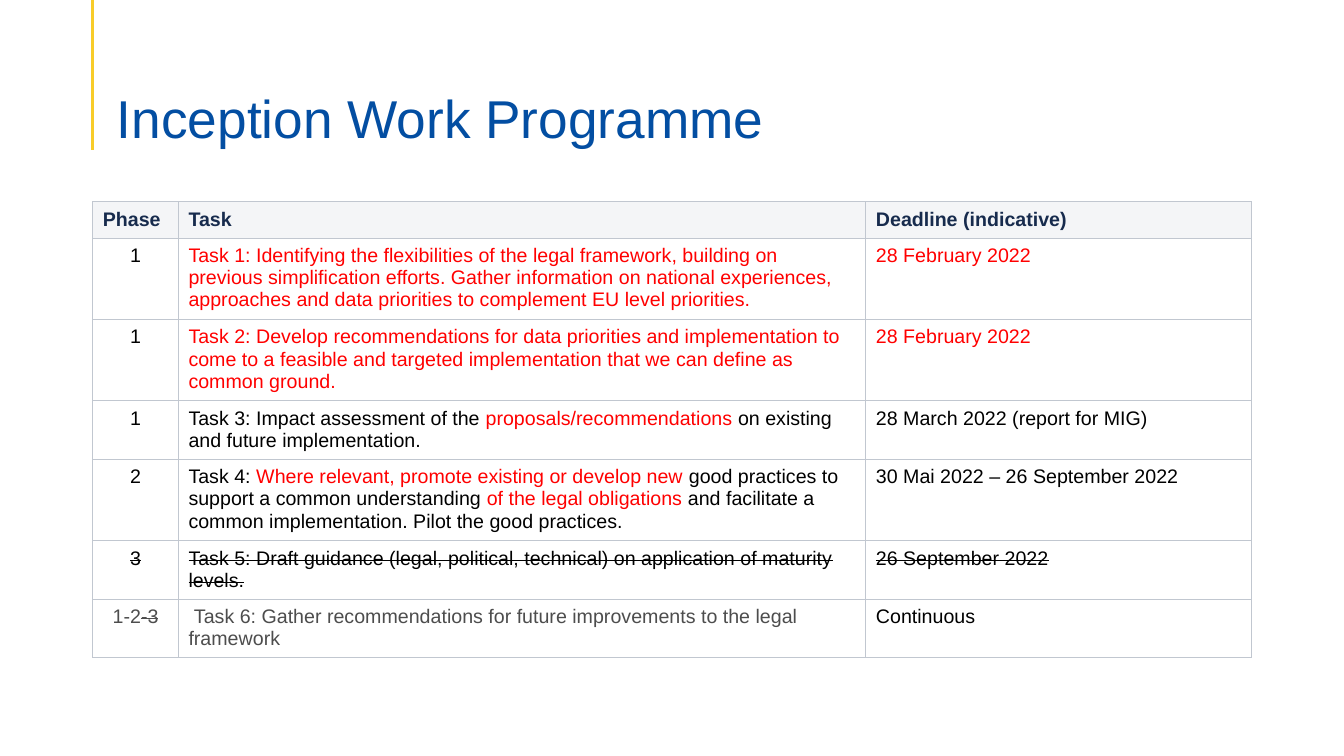
from dataclasses import dataclass

from lxml.etree import SubElement
from pptx import Presentation
from pptx.dml.color import RGBColor
from pptx.enum.shapes import MSO_CONNECTOR
from pptx.enum.text import MSO_ANCHOR, PP_ALIGN
from pptx.oxml import parse_xml
from pptx.oxml.ns import nsdecls, qn
from pptx.util import Pt


@dataclass(frozen=True)
class Theme:
    font: str = "Arial"
    title_size: float = 38
    body_size: float = 14
    title: str = "034EA2"
    accent: str = "F8CC29"
    heading: str = "172B4D"
    heading_fill: str = "F4F5F7"
    cell_fill: str = "FFFFFF"
    border: str = "C1C7D0"
    text: str = "000000"
    changed: str = "FF0000"
    muted: str = "4D4D4D"


@dataclass(frozen=True)
class Span:
    text: str
    color: str
    strike: bool = False


@dataclass(frozen=True)
class Row:
    phase: list[Span]
    task: list[Span]
    deadline: list[Span]
    lines: int


THEME = Theme()
LEFT, TABLE_TOP = 66.24, 144
COLUMN_WIDTHS = (61.2, 491.04, 275.76)
LINE_HEIGHT, CELL_PADDING = 16, 10


def plain(text: str) -> Span:
    return Span(text, THEME.text)


def changed(text: str) -> Span:
    return Span(text, THEME.changed)


def muted(text: str) -> Span:
    return Span(text, THEME.muted)


def dropped(text: str, color: str = THEME.text) -> Span:
    return Span(text, color, strike=True)


HEADINGS = ("Phase", "Task", "Deadline (indicative)")
ROWS = [
    Row([plain("1")],
        [changed("Task 1: Identifying the flexibilities of the legal framework, "
                 "building on previous simplification efforts. Gather information on "
                 "national experiences, approaches and data priorities to complement "
                 "EU level priorities.")],
        [changed("28 February 2022")], 3),
    Row([plain("1")],
        [changed("Task 2: Develop recommendations for data priorities and "
                 "implementation to come to a feasible and targeted implementation "
                 "that we can define as common ground.")],
        [changed("28 February 2022")], 3),
    Row([plain("1")],
        [plain("Task 3: Impact assessment of the "),
         changed("proposals/recommendations "),
         plain("on existing and future implementation.")],
        [plain("28 March 2022 (report for MIG)")], 2),
    Row([plain("2")],
        [plain("Task 4: "),
         changed("Where relevant, promote existing or develop new "),
         plain("good practices to support a common understanding "),
         changed("of the legal obligations "),
         plain("and facilitate a common implementation. Pilot the good practices.")],
        [plain("30 Mai 2022 – 26 September 2022")], 3),
    Row([dropped("3")],
        [dropped("Task 5: Draft guidance (legal, political, technical) on "
                 "application of maturity levels.")],
        [dropped("26 September 2022")], 2),
    Row([muted("1-2"), dropped("-3", THEME.muted)],
        [plain("\u00a0"),
         muted("Task 6: Gather recommendations for future improvements to the "
               "legal framework")],
        [plain("Continuous")], 2),
]


def rgb(color: str) -> RGBColor:
    return RGBColor.from_string(color)


def add_accent_line(s) -> None:
    line = s.shapes.add_connector(
        MSO_CONNECTOR.STRAIGHT, Pt(LEFT), 0, Pt(LEFT), Pt(107.28))
    line.line.color.rgb = rgb(THEME.accent)
    line.line.width = Pt(2.25)
    SubElement(line._element.spPr, qn("a:effectLst"))


def format_title(s, text: str) -> None:
    sp = s.shapes.title
    sp.left, sp.top, sp.width, sp.height = Pt(76.32), Pt(45.36), Pt(807.84), Pt(61.92)
    tf = sp.text_frame
    tf.text = text
    tf.vertical_anchor = MSO_ANCHOR.BOTTOM
    tf.margin_left = tf.margin_right = Pt(7.2)
    tf.margin_top, tf.margin_bottom = Pt(3.6), 0
    p = tf.paragraphs[0]
    p.alignment = PP_ALIGN.LEFT
    p.line_spacing = 0.9
    p.font.name = THEME.font
    p.font.size = Pt(THEME.title_size)
    p.font.color.rgb = rgb(THEME.title)


def set_borders(cell) -> None:
    tcPr = cell._tc.get_or_add_tcPr()
    for i, side in enumerate(("lnL", "lnR", "lnT", "lnB")):
        tcPr.insert(i, parse_xml(
            f'<a:{side} {nsdecls("a")} w="{Pt(0.75)}"><a:solidFill>'
            f'<a:srgbClr val="{THEME.border}"/></a:solidFill></a:{side}>'))


def fill_cell(cell, spans: list[Span], fill: str, align: PP_ALIGN,
              bold: bool = False, right: float = 7.2) -> None:
    cell.fill.solid()
    cell.fill.fore_color.rgb = rgb(fill)
    set_borders(cell)
    cell.margin_left, cell.margin_right = Pt(7.2), Pt(right)
    cell.margin_top = cell.margin_bottom = Pt(CELL_PADDING / 2)
    p = cell.text_frame.paragraphs[0]
    p.alignment = align
    p.font.name = THEME.font
    p.font.size = Pt(THEME.body_size)
    p.font.bold = bold
    for span in spans:
        r = p.add_run()
        r.text = span.text
        r.font.color.rgb = rgb(span.color)
        if span.strike:
            r._r.get_or_add_rPr().set("strike", "sngStrike")


def add_programme_table(s) -> None:
    heights = [CELL_PADDING + LINE_HEIGHT * n for n in (1, *(row.lines for row in ROWS))]
    table = s.shapes.add_table(
        len(heights), len(COLUMN_WIDTHS), Pt(LEFT), Pt(TABLE_TOP),
        Pt(sum(COLUMN_WIDTHS)), Pt(sum(heights))).table
    table.horz_banding = False
    for column, width in zip(table.columns, COLUMN_WIDTHS):
        column.width = Pt(width)
    for table_row, height in zip(table.rows, heights):
        table_row.height = Pt(height)
    for c, heading in enumerate(HEADINGS):
        fill_cell(table.cell(0, c), [Span(heading, THEME.heading)],
                  THEME.heading_fill, PP_ALIGN.LEFT, bold=True, right=11.52)
    for i, row in enumerate(ROWS, start=1):
        for c, spans in enumerate((row.phase, row.task, row.deadline)):
            align = PP_ALIGN.CENTER if c == 0 else PP_ALIGN.LEFT
            fill_cell(table.cell(i, c), spans, THEME.cell_fill, align)


prs = Presentation()
prs.slide_width, prs.slide_height = Pt(960), Pt(540)
s = prs.slides.add_slide(prs.slide_layouts.get_by_name("Title Only"))
add_accent_line(s)
format_title(s, "Inception Work Programme")
add_programme_table(s)
prs.save("out.pptx")
